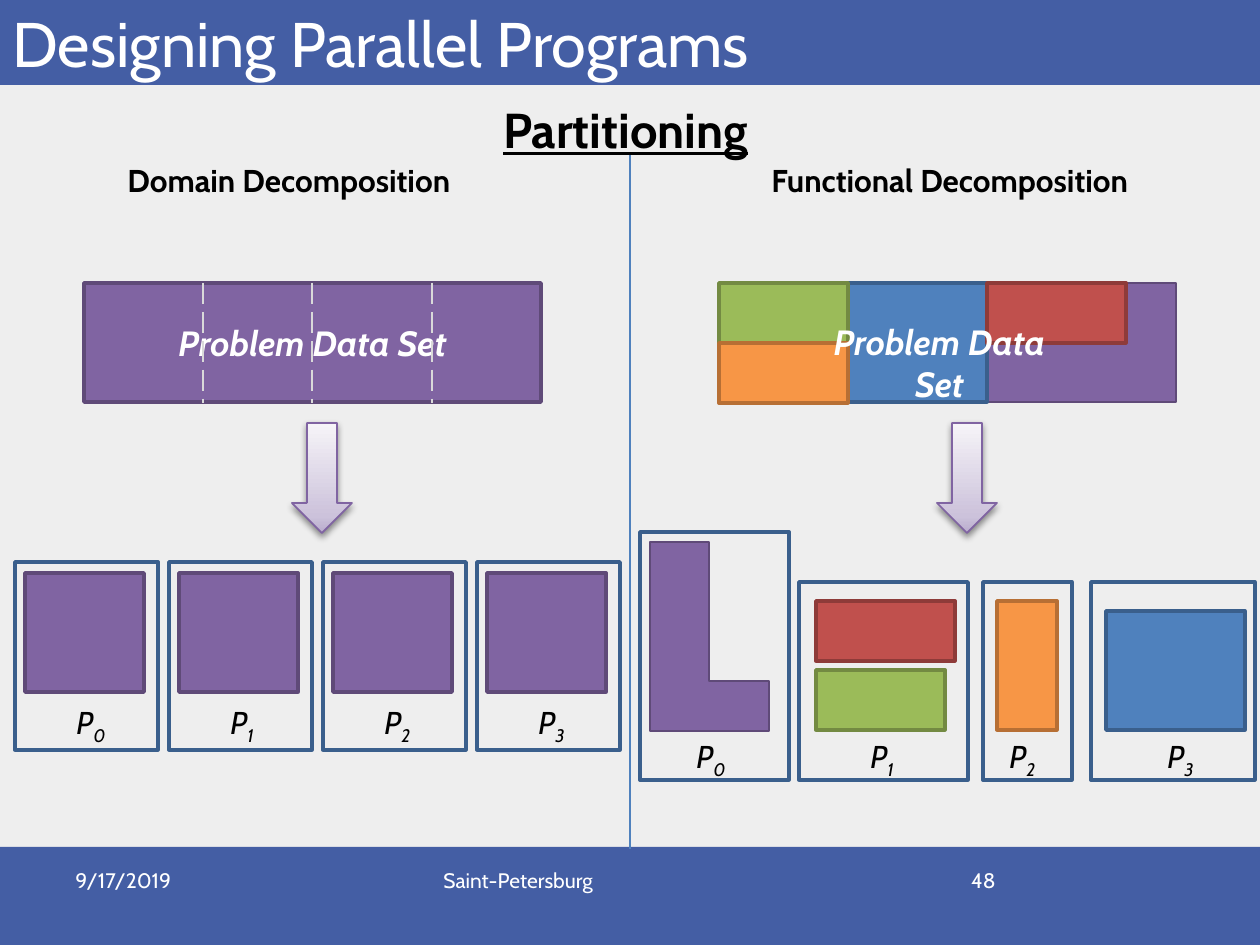
from pptx import Presentation
from pptx.dml.color import RGBColor
from pptx.enum.dml import MSO_LINE
from pptx.enum.shapes import MSO_CONNECTOR, MSO_SHAPE
from pptx.enum.text import MSO_ANCHOR, PP_ALIGN
from pptx.oxml import parse_xml
from pptx.oxml.ns import nsdecls, qn
from pptx.util import Emu, Pt

PX = 914400 / 126
FONT = "Cabin"
RECT, DOWN_ARROW = MSO_SHAPE.RECTANGLE, MSO_SHAPE.DOWN_ARROW
STRAIGHT, LONG_DASH = MSO_CONNECTOR.STRAIGHT, MSO_LINE.LONG_DASH
LEFT, CENTER, RIGHT = PP_ALIGN.LEFT, PP_ALIGN.CENTER, PP_ALIGN.RIGHT
MIDDLE, BOTTOM = MSO_ANCHOR.MIDDLE, MSO_ANCHOR.BOTTOM

WHITE = RGBColor(0xFF, 0xFF, 0xFF)
BLACK = RGBColor(0x00, 0x00, 0x00)
PAPER = RGBColor(0xEE, 0xEE, 0xEE)
BAND = RGBColor(0x44, 0x5E, 0xA4)
DIVIDER = RGBColor(0x4F, 0x81, 0xBD)
FRAME = RGBColor(0x3A, 0x5F, 0x8C)
CUT = RGBColor(0xD9, 0xD9, 0xD9)
ARROW_EDGE = RGBColor(0x80, 0x64, 0xA2)
# fill and outline of each kind of data
PURPLE = RGBColor(0x80, 0x64, 0xA2), RGBColor(0x5F, 0x4A, 0x78)
BLUE = RGBColor(0x4F, 0x81, 0xBD), FRAME
GREEN = RGBColor(0x9B, 0xBB, 0x59), RGBColor(0x73, 0x8A, 0x42)
ORANGE = RGBColor(0xF7, 0x96, 0x46), RGBColor(0xB7, 0x6F, 0x34)
RED = RGBColor(0xC0, 0x50, 0x4D), RGBColor(0x8E, 0x3B, 0x39)

ARROW_GRADIENT = f"""<a:gradFill {nsdecls('a')} rotWithShape="1"><a:gsLst>
<a:gs pos="0"><a:srgbClr val="B9ACCD"/></a:gs>
<a:gs pos="15000"><a:srgbClr val="CCC2DB"/></a:gs>
<a:gs pos="100000"><a:srgbClr val="F6F4F8"/></a:gs>
</a:gsLst><a:lin ang="16200000" scaled="0"/></a:gradFill>"""
ARROW_SHADOW = f"""<a:outerShdw {nsdecls('a')} blurRad="50800" dist="25400"
dir="5400000" rotWithShape="0"><a:srgbClr val="000000"><a:alpha val="43000"/>
</a:srgbClr></a:outerShdw>"""


def px(*lengths):
    return [Emu(round(length * PX)) for length in lengths]


def paint(shape, fill, line, width=2):
    shape.shadow.inherit = False
    if fill is None:
        shape.fill.background()
    else:
        shape.fill.solid()
        shape.fill.fore_color.rgb = fill
    if line is None:
        shape.line.fill.background()
    else:
        shape.line.color.rgb = line
        shape.line.width = Pt(width)
    return shape


def add_rect(slide, box, fill, line):
    return paint(slide.shapes.add_shape(RECT, *px(*box)), fill, line)


def add_line(slide, start, end, color, dash=None):
    line = slide.shapes.add_connector(STRAIGHT, *px(*start, *end))
    line.line.color.rgb = color
    line.line.width = Pt(1.5)
    if dash is not None:
        line.line.dash_style = dash
    line.element.spPr.append(parse_xml(f"<a:effectLst {nsdecls('a')}/>"))


def write(frame, text, size, color, align=LEFT, bold=None, italic=None):
    frame.text = text
    paragraph = frame.paragraphs[0]
    paragraph.alignment = align
    font = paragraph.runs[0].font
    font.name, font.size, font.color.rgb = FONT, Pt(size), color
    font.bold, font.italic = bold, italic
    return paragraph


def add_text(slide, box, text, size, color, wrap=True, **style):
    frame = slide.shapes.add_textbox(*px(*box)).text_frame
    frame.word_wrap = wrap
    return write(frame, text, size, color, **style)


def add_process_label(slide, left, top, number):
    paragraph = add_text(slide, (left, top, 54, 50), "P", 18, BLACK,
                         wrap=False, italic=True)
    index = paragraph.add_run()
    index.text = str(number)
    font = index.font
    font.name, font.size, font.italic, font.color.rgb = FONT, Pt(18), True, BLACK
    index._r.get_or_add_rPr().set("baseline", "-25000")


def add_l_piece(slide, left, top, upright=False):
    """Draw the remaining L of the data set; upright turns it a quarter clockwise."""
    corners = [(0, 119), (0, 60), (139, 60), (139, 0), (189, 0), (189, 119)]
    if upright:
        corners = [(119 - y, x) for x, y in corners]
    builder = slide.shapes.build_freeform(*corners[0], scale=PX)
    builder.add_line_segments(corners[1:], close=True)
    paint(builder.convert_to_shape(*px(left, top)), *PURPLE, width=1.5)


def add_arrow(slide, left, top):
    arrow = slide.shapes.add_shape(DOWN_ARROW, *px(left, top, 60, 110))
    paint(arrow, None, ARROW_EDGE, 1)
    properties = arrow.element.spPr
    properties.replace(properties.find(qn("a:noFill")), parse_xml(ARROW_GRADIENT))
    properties.find(qn("a:effectLst")).append(parse_xml(ARROW_SHADOW))


def add_header(slide):
    title = slide.shapes.title
    title.left, title.top, title.width, title.height = px(0, -26, 1260, 112)
    title.text_frame.vertical_anchor = BOTTOM
    write(title.text_frame, "Designing Parallel Programs", 36, WHITE)
    for band in ((0, 847, 1260, 98), (0, 0, 1260, 85)):
        title.element.addprevious(add_rect(slide, band, BAND, None).element)
    subtitle = add_text(slide, (491, 93, 449, 72), "Partitioning", 28, BLACK,
                        bold=True)
    subtitle.runs[0].font.underline = True


def add_footer(slide, top):
    for left, width, text, align in ((63, 294, "9/17/2019", LEFT),
                                     (431, 399, "Saint-Petersburg", LEFT),
                                     (903, 105, "48", RIGHT)):
        add_text(slide, (left, top, width, 66), text, 12, WHITE, align=align)


def add_domain_side(slide, left, top):
    add_text(slide, (left + 115, top, 350, 50), "Domain Decomposition", 18,
             BLACK, wrap=False, bold=True)
    data_left, data_top = left + 84, top + 128
    data_set = add_rect(slide, (data_left, data_top, 457, 119), *PURPLE)
    data_set.text_frame.vertical_anchor = MIDDLE
    write(data_set.text_frame, "Problem Data Set", 20, WHITE, CENTER, True, True)
    for offset in (119, 228, 348):
        x = data_left + offset
        add_line(slide, (x, data_top), (x, data_top + 120), CUT, LONG_DASH)
    add_arrow(slide, left + 292, top + 268)
    for number in range(4):
        x, y = left + 15 + 154 * number, top + 407
        add_rect(slide, (x + 10, y + 11, 119, 119), *PURPLE)
        add_rect(slide, (x, y, 143, 188), None, FRAME)
        add_process_label(slide, x + 49, y + 135, number)


def add_functional_side(slide, left, top):
    add_text(slide, (left + 129, top, 386, 50), "Functional Decomposition", 18,
             BLACK, wrap=False, bold=True)
    data_left, data_top = left + 89, top + 128
    add_l_piece(slide, data_left + 268, data_top)
    for x, y, width, height, colors in ((129, 0, 139, 119, BLUE),
                                        (0, 0, 129, 60, GREEN),
                                        (0, 60, 129, 60, ORANGE),
                                        (268, 0, 139, 60, RED)):
        add_rect(slide, (data_left + x, data_top + y, width, height), *colors)
    add_text(slide, (data_left + 76, data_top + 31, 289, 55), "Problem Data Set",
             20, WHITE, align=CENTER, bold=True, italic=True)
    add_arrow(slide, left + 307, top + 268)

    add_l_piece(slide, left + 20, top + 387, upright=True)
    for x, y, width, height, colors in ((186, 446, 139, 60, RED),
                                        (186, 515, 129, 60, GREEN),
                                        (367, 446, 60, 129, ORANGE),
                                        (476, 456, 139, 119, BLUE)):
        add_rect(slide, (left + x, top + y, width, height), *colors)
    frames = ((10, 149, 248, 54), (169, 169, 198, 228),
              (353, 89, 198, 367), (461, 164, 198, 525))
    for number, (x, width, height, label) in enumerate(frames):
        add_rect(slide, (left + x, top + 625 - height, width, height), None, FRAME)
        add_process_label(slide, left + label, top + 576, number)


def main():
    deck = Presentation()
    deck.slide_width, deck.slide_height = px(1260, 945)
    slide = deck.slides.add_slide(deck.slide_layouts[5])
    slide.background.fill.solid()
    slide.background.fill.fore_color.rgb = PAPER
    add_header(slide)
    add_line(slide, (630, 155), (630, 849), DIVIDER)
    add_domain_side(slide, 0, 155)
    add_functional_side(slide, 630, 155)
    add_footer(slide, 861)
    deck.save("out.pptx")


if __name__ == "__main__":
    main()
